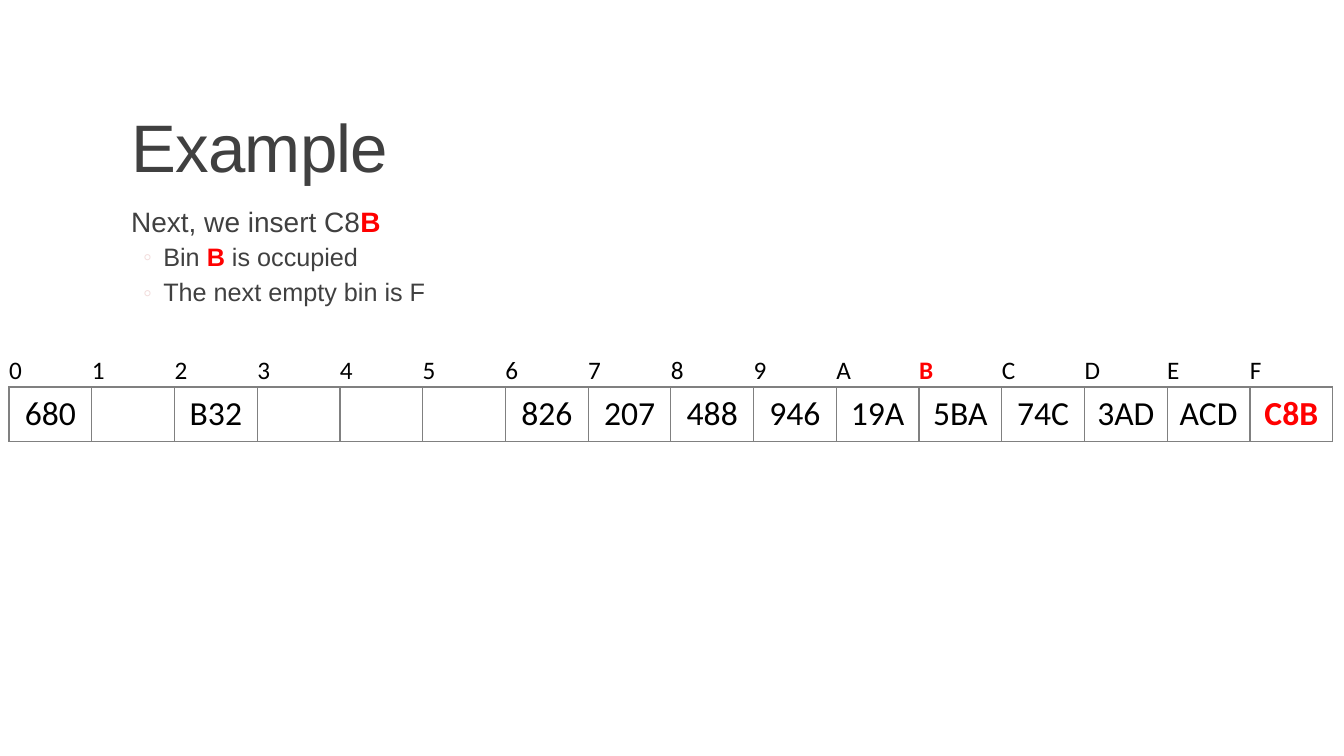
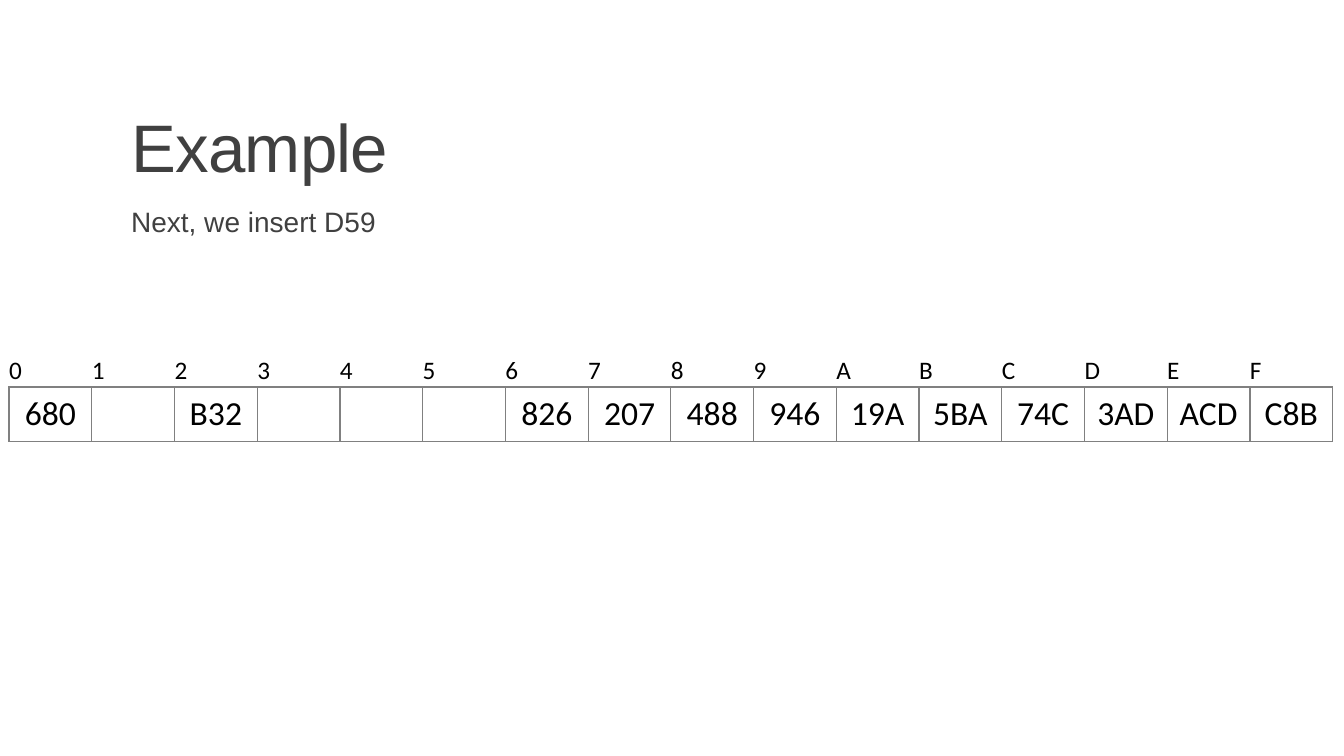
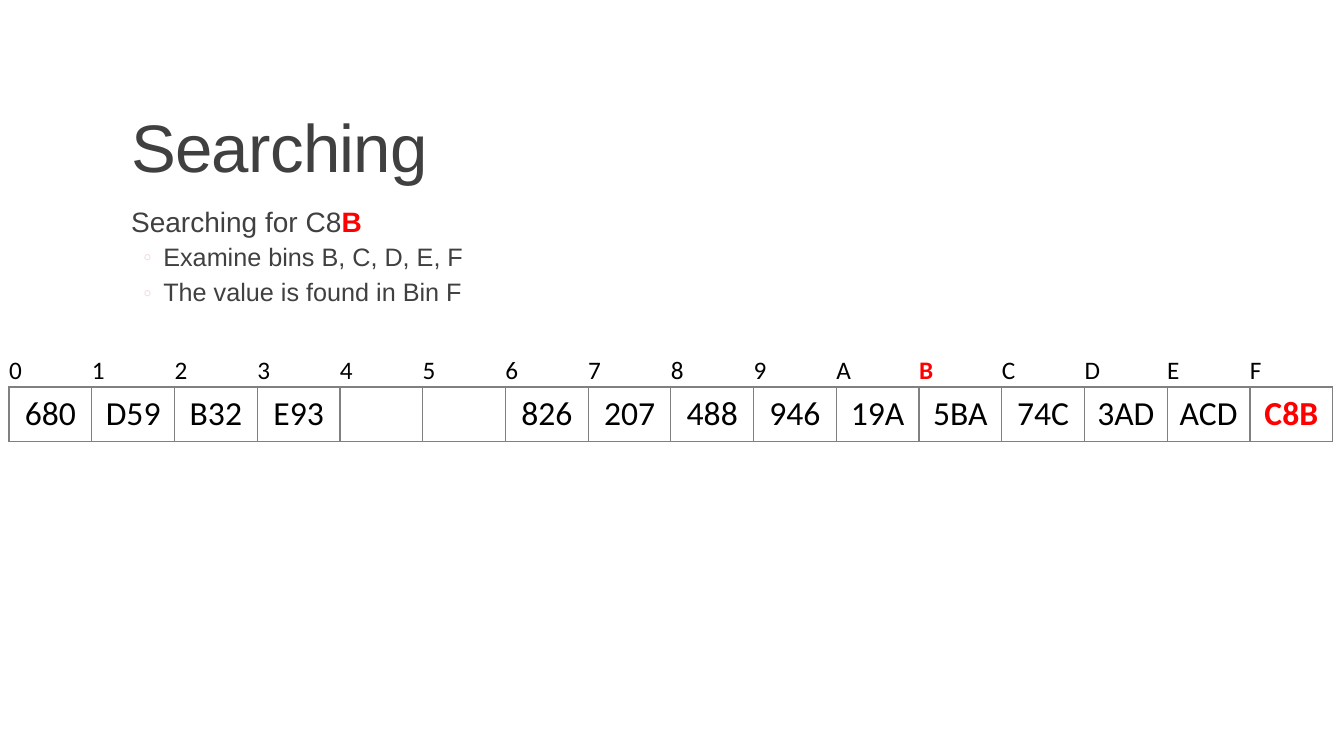
from lxml import etree
from pptx import Presentation
from pptx.dml.color import RGBColor
from pptx.enum.text import MSO_ANCHOR, MSO_AUTO_SIZE, PP_ALIGN
from pptx.oxml.ns import qn
from pptx.util import Inches, Pt

MIDDLE, BOTTOM = MSO_ANCHOR.MIDDLE, MSO_ANCHOR.BOTTOM
LEFT, CENTER = PP_ALIGN.LEFT, PP_ALIGN.CENTER
NO_AUTOFIT = MSO_AUTO_SIZE.NONE

TEXT, BLACK, HIGHLIGHT = "404040", "000000", "FF0000"
BULLET, GRID = "F2DCDB", "808080"
NO_TABLE_STYLE = "{2D5ABB26-0587-4C30-8999-92F81FD0307C}"
BINS = "0123456789ABCDEF"

# title, body lines as (level, text), bin contents, bin and value to highlight;
# text between asterisks is highlighted
FILLED = {"0": "680", "2": "B32", "6": "826", "7": "207", "8": "488", "9": "946",
          "A": "19A", "B": "5BA", "C": "74C", "D": "3AD", "E": "ACD", "F": "C8B"}
SLIDES = [
    ("Example",
     [(0, "Next, we insert C8*B*"),
      (1, "Bin *B *is occupied"),
      (1, "The next empty bin is F")],
     FILLED, ("B", "C8B")),
    ("Example",
     [(0, "Next, we insert D59")],
     FILLED, ()),
    ("Searching",
     [(0, "Searching for C8*B*"),
      (1, "Examine bins B, C, D, E, F"),
      (1, "The value is found in Bin F")],
     FILLED | {"1": "D59", "3": "E93"}, ("B", "C8B")),
]
# size, space before, space after, left margin, first-line indent
LEVELS = [(20, 12, 2, 0.1, 0), (18, 2, 4, 0.42, -0.2)]


def rgb(value):
    return RGBColor.from_string(value)


def add_runs(paragraph, text, size, font, color):
    """Add text as runs; parts between asterisks are bold and highlighted."""
    for position, part in enumerate(text.split("*")):
        if part:
            marked = position % 2 == 1
            run = paragraph.add_run()
            run.text = part
            run.font.size = Pt(size)
            run.font.name = font
            run.font.bold = marked
            run.font.color.rgb = rgb(HIGHLIGHT if marked else color)


prs = Presentation()
prs.slide_width, prs.slide_height = Inches(13.33), Inches(7.5)

# Placement shared by all slides is set on the layout
layout = prs.slide_layouts[1]
for placeholder, top, height in ((layout.placeholders[0], 0.31, 1.59),
                                 (layout.placeholders[1], 2.02, 4.4)):
    placeholder.left, placeholder.top = Inches(1.2), Inches(top)
    placeholder.width, placeholder.height = Inches(11), Inches(height)
    placeholder.text_frame.auto_size = NO_AUTOFIT
layout.placeholders[0].text_frame.vertical_anchor = BOTTOM
body_frame = layout.placeholders[1].text_frame
body_frame.margin_left = body_frame.margin_right = 0

for title, lines, contents, highlighted in SLIDES:
    slide = prs.slides.add_slide(layout)

    heading = slide.shapes.title.text_frame.paragraphs[0]
    heading.alignment = LEFT
    heading.line_spacing = 0.85
    add_runs(heading, title, 48, "Arial", TEXT)
    heading.runs[0].font._element.set("spc", "-50")

    body = slide.placeholders[1].text_frame
    for number, (level, text) in enumerate(lines):
        line = body.add_paragraph() if number else body.paragraphs[0]
        size, before, after, margin, indent = LEVELS[level]
        line.level = level
        line.line_spacing = 0.9
        line.space_before, line.space_after = Pt(before), Pt(after)
        properties = line._p.get_or_add_pPr()
        properties.set("marL", str(Inches(margin)))
        properties.set("indent", str(Inches(indent)))
        if level:
            bullet_color = etree.SubElement(properties, qn("a:buClr"))
            etree.SubElement(bullet_color, qn("a:srgbClr"), val=BULLET)
            etree.SubElement(properties, qn("a:buFont"), typeface="Arial")
            etree.SubElement(properties, qn("a:buChar"), char="◦")
        else:
            etree.SubElement(properties, qn("a:buNone"))
        add_runs(line, text, size, "Arial", TEXT)

    bins = slide.shapes.add_table(2, len(BINS), Inches(0.09), Inches(3.51),
                                  Inches(13.13), Inches(0.87)).table
    bins.first_row = bins.horz_banding = False
    bins._tbl.tblPr.find(qn("a:tableStyleId")).text = NO_TABLE_STYLE
    bins.rows[0].height, bins.rows[1].height = Inches(0.33), Inches(0.54)
    values = [contents.get(name, "") for name in BINS]
    for row, (texts, size, alignment, edges) in enumerate((
            (BINS, 18, LEFT, ["lnB"]),
            (values, 24, CENTER, ["lnL", "lnR", "lnT", "lnB"]))):
        for column, text in enumerate(texts):
            cell = bins.cell(row, column)
            cell.vertical_anchor = MIDDLE
            cell.margin_left = cell.margin_right = 0
            cell.margin_top = cell.margin_bottom = 0
            for edge in edges:
                border = etree.SubElement(cell._tc.get_or_add_tcPr(),
                                          qn(f"a:{edge}"), w=str(Pt(1)))
                border_fill = etree.SubElement(border, qn("a:solidFill"))
                etree.SubElement(border_fill, qn("a:srgbClr"), val=GRID)
            cell.fill.background()
            entry = cell.text_frame.paragraphs[0]
            entry.alignment = alignment
            marked_text = f"*{text}*" if text in highlighted else text
            add_runs(entry, marked_text, size, "Calibri", BLACK)

prs.save("out.pptx")
